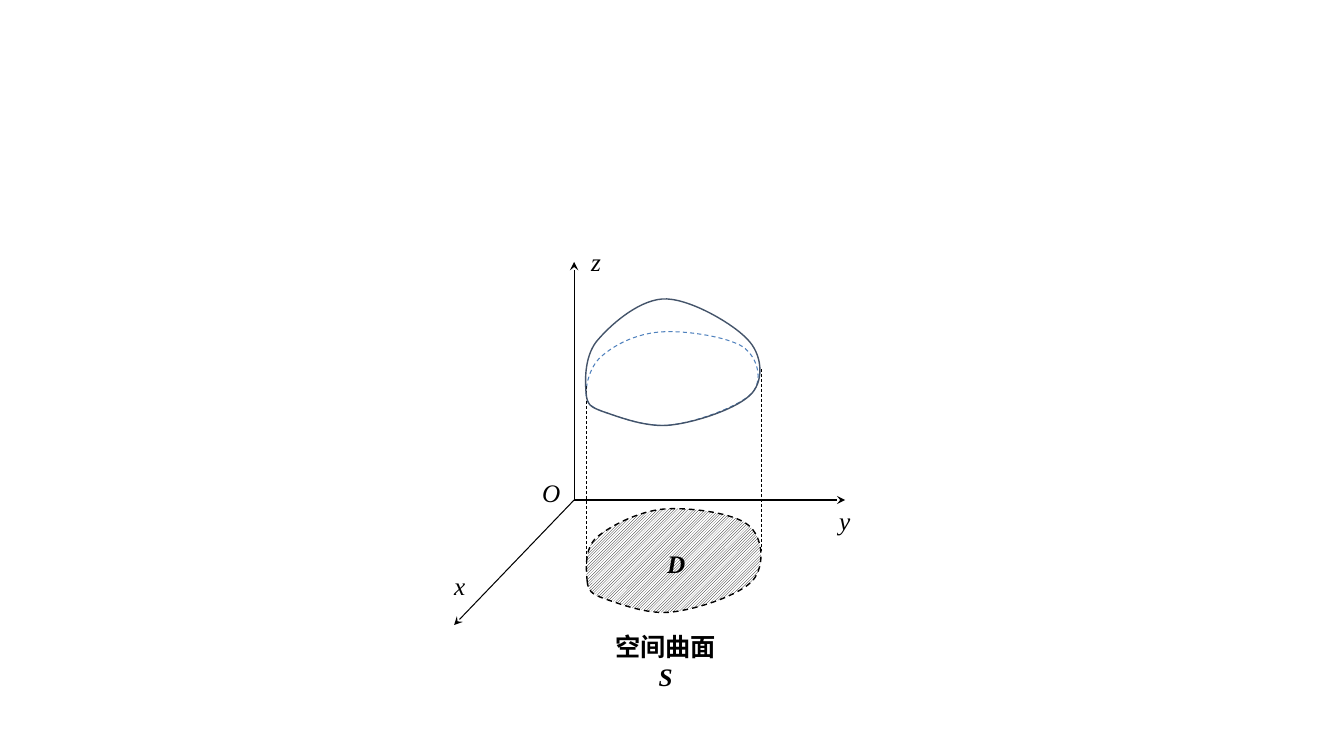
from pptx import Presentation
from pptx.dml.color import RGBColor
from pptx.enum.dml import MSO_LINE, MSO_PATTERN
from pptx.enum.shapes import MSO_CONNECTOR
from pptx.enum.text import MSO_ANCHOR, MSO_AUTO_SIZE, PP_ALIGN
from pptx.oxml.ns import qn
from pptx.util import Inches, Pt
from lxml.etree import SubElement

PX = 914400 / 100.8
BLACK, WHITE, BLUE, SLATE = "000000", "FFFFFF", "4F81BD", "44546A"

# Content: lengths in px
ORIGIN = (574, 500)
AXIS_ENDS = [(845, 500), (574, 262), (454, 625)]
GUIDES = [((761, 369), (761, 551)), ((586, 386), (586, 569))]

# Closed curves: start point, then two control points and an end per segment
REGION = [
    (587, 581), (588, 591), (591, 594), (605, 599), (620, 604), (648, 615),
    (672, 612), (698, 609), (740, 595), (753, 580), (765, 565), (763, 537),
    (748, 525), (734, 513), (689, 507), (664, 509), (639, 511), (610, 526),
    (597, 537), (584, 548), (586, 569), (587, 581)]
RIM = [
    (586, 393), (586, 403), (590, 407), (604, 412), (619, 417), (647, 428),
    (671, 425), (697, 422), (740, 406), (752, 393), (763, 380), (758, 358),
    (743, 347), (728, 337), (685, 330), (660, 332), (635, 334), (615, 345),
    (603, 355), (590, 365), (586, 384), (586, 393)]
SURFACE = [
    (586, 393), (587, 405), (590, 407), (604, 412), (619, 417), (647, 428),
    (671, 425), (697, 422), (739, 408), (752, 393), (764, 379), (762, 354),
    (747, 339), (732, 323), (687, 297), (662, 299), (637, 301), (609, 326),
    (596, 342), (584, 358), (585, 382), (586, 393)]

# Labels: left, top, width, runs of (text, italic), bold
LABELS = [
    (829, 500, 31, [("y", True)], False),
    (532, 472, 38, [("O", True)], False),
    (444, 565, 31, [("x", True)], False),
    (581, 241, 30, [("z", True)], False),
    (657, 543, 38, [("D", True)], True)]
CAPTION = (594, 626, 143, [("空间曲面 ", False), ("S", True)], True)
LABEL_HEIGHT = 40
CAPTION_INSET = 16


def px(length):
    return round(length * PX)


def color(value):
    return RGBColor.from_string(value)


def style_line(line, value, width, dashed):
    line.color.rgb = color(value)
    line.width = Pt(width)
    if dashed:
        line.dash_style = MSO_LINE.DASH


def add_line(shapes, start, end, width, dashed=False, arrow=False):
    line = shapes.add_connector(
        MSO_CONNECTOR.STRAIGHT, *map(px, start + end))
    style_line(line.line, BLACK, width, dashed)
    properties = line._element.spPr
    if arrow:
        SubElement(properties.find(qn("a:ln")), qn("a:tailEnd"), type="stealth")
    SubElement(properties, qn("a:effectLst"))


def add_curve(shapes, points, value, width, dashed=False, hatched=False):
    builder = shapes.build_freeform(*points[0], scale=PX)
    builder.add_line_segments(points[1:], close=True)
    curve = builder.convert_to_shape()
    curve.shadow.inherit = False
    if hatched:
        curve.fill.patterned()
        curve.fill.pattern = MSO_PATTERN.LIGHT_UPWARD_DIAGONAL
        curve.fill.fore_color.rgb = color(BLACK)
        curve.fill.back_color.rgb = color(WHITE)
    else:
        curve.fill.background()
    style_line(curve.line, value, width, dashed)

    # Join every three straight segments into one cubic segment
    segments = list(curve._element.iter(qn("a:lnTo")))
    for first in range(0, len(segments), 3):
        cubic = segments[first].makeelement(qn("a:cubicBezTo"))
        segments[first].addprevious(cubic)
        for segment in segments[first:first + 3]:
            cubic.append(segment[0])
            segment.getparent().remove(segment)


def add_label(shapes, left, top, width, runs, bold, inset=None):
    label = shapes.add_textbox(*map(px, (left, top, width, LABEL_HEIGHT)))
    frame = label.text_frame
    frame.auto_size = MSO_AUTO_SIZE.SHAPE_TO_FIT_TEXT
    frame.vertical_anchor = MSO_ANCHOR.TOP
    frame.word_wrap = inset is not None
    if inset is not None:
        frame.margin_left = frame.margin_right = px(inset)
    paragraph = frame.paragraphs[0]
    paragraph.alignment = PP_ALIGN.CENTER
    for text, italic in runs:
        run = paragraph.add_run()
        run.text = text
        run.font.italic = italic
    font = paragraph.font
    font.name, font.size, font.bold = "Times New Roman", Pt(18), bold
    font.color.rgb = color(BLACK)


def main():
    deck = Presentation()
    deck.slide_width, deck.slide_height = Inches(13.33), Inches(7.5)
    slide = deck.slides.add_slide(deck.slide_layouts[6])
    diagram = slide.shapes.add_group_shape().shapes

    # Axes
    for end in AXIS_ENDS:
        add_line(diagram, ORIGIN, end, 0.75, arrow=True)

    # Surface and its projection
    add_curve(diagram, REGION, BLACK, 1, dashed=True, hatched=True)
    add_curve(diagram, RIM, BLUE, 0.75, dashed=True)
    for start, end in GUIDES:
        add_line(diagram, start, end, 0.5, dashed=True)
    add_curve(diagram, SURFACE, SLATE, 1)

    # Labels and caption
    for label in LABELS:
        add_label(diagram, *label)
    add_label(diagram, *CAPTION, inset=CAPTION_INSET)

    deck.save("out.pptx")


if __name__ == "__main__":
    main()
